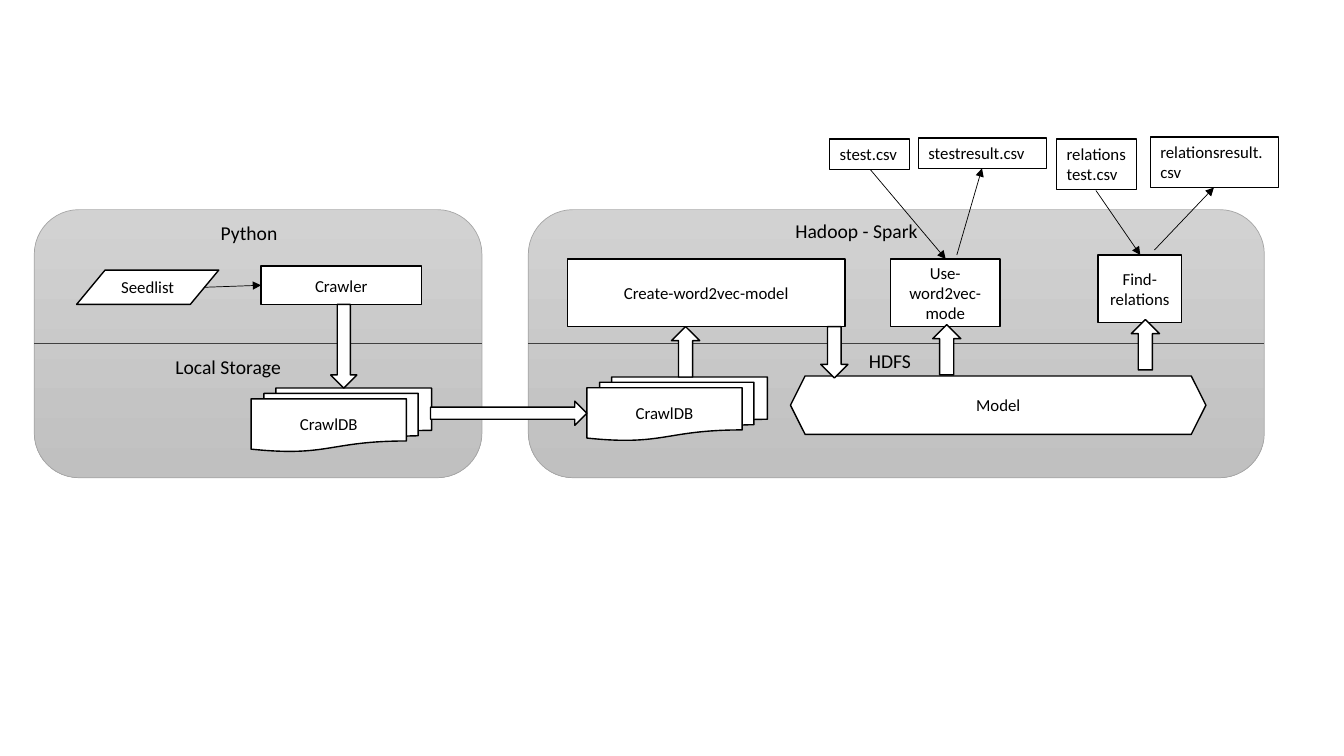
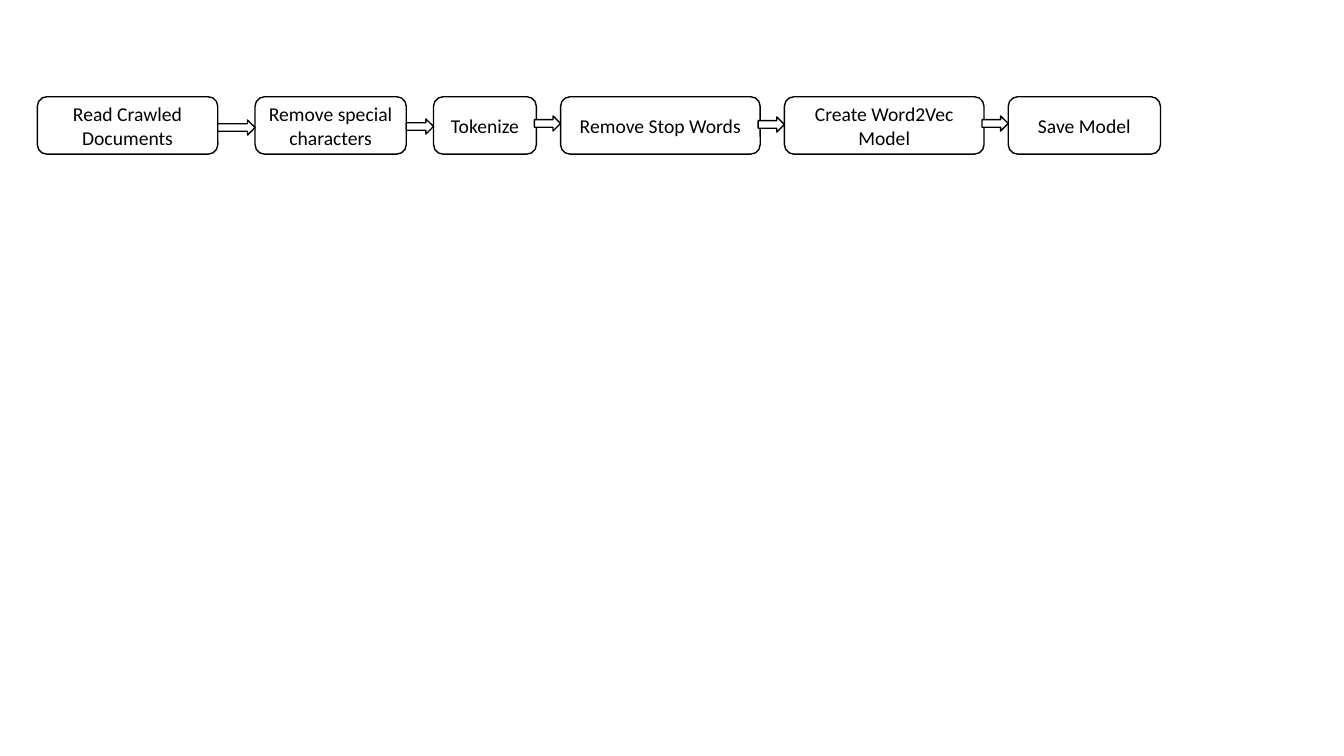
from dataclasses import dataclass
from typing import Any

from lxml.etree import SubElement
from pptx import Presentation
from pptx.dml.color import RGBColor
from pptx.enum.shapes import MSO_CONNECTOR, MSO_SHAPE as Shape
from pptx.enum.text import MSO_ANCHOR as Anchor, PP_ALIGN as Align
from pptx.oxml.ns import qn
from pptx.util import Emu, Pt

# Shared look
FONT = "Calibri"
BLACK, WHITE = "000000", "FFFFFF"
PANEL_TOP, PANEL_BOTTOM, PANEL_EDGE = "D2D2D2", "C0C0C0", "A5A5A5"
DIVIDER = "404040"
SMALL, LARGE = 12, 14


def px(length):
    """100 px make one inch."""
    return Emu(length * 9144)


def colour(value):
    return RGBColor.from_string(value)


def write_text(shape, text, size, align, anchor):
    frame = shape.text_frame
    frame.word_wrap = True
    frame.vertical_anchor = anchor
    frame.text = text
    paragraph = frame.paragraphs[0]
    paragraph.alignment = align
    font = paragraph.runs[0].font
    font.name, font.size = FONT, Pt(size)
    font.color.rgb = colour(BLACK)


@dataclass
class Region:
    """A box on a slide; parts are placed from its top left corner."""
    slide: Any
    left: int
    top: int
    width: int
    height: int

    def place(self, left, top, width, height):
        return px(self.left + left), px(self.top + top), px(width), px(height)

    def block(self, kind, box, text="", size=SMALL,
              align=Align.CENTER, anchor=Anchor.MIDDLE):
        shape = self.slide.shapes.add_shape(kind, *self.place(*box))
        shape.shadow.inherit = False
        shape.fill.solid()
        shape.fill.fore_color.rgb = colour(WHITE)
        shape.line.color.rgb = colour(BLACK)
        shape.line.width = Pt(1)
        if text:
            write_text(shape, text, size, align, anchor)
        return shape

    def label(self, box, text):
        shape = self.slide.shapes.add_textbox(*self.place(*box))
        write_text(shape, text, LARGE, Align.LEFT, Anchor.TOP)

    def line(self, start, end, line_colour=BLACK, arrow=True):
        points = [px(origin + offset) for point in (start, end)
                  for origin, offset in zip((self.left, self.top), point)]
        connector = self.slide.shapes.add_connector(
            MSO_CONNECTOR.STRAIGHT, *points)
        connector.line.color.rgb = colour(line_colour)
        connector.line.width = Pt(0.5)
        if arrow:
            outline = connector.line._get_or_add_ln()
            SubElement(outline, qn("a:tailEnd"), type="triangle")
        SubElement(connector._element.spPr, qn("a:effectLst"))

    def panel(self):
        """Grey rounded background, split in two by a line."""
        shape = self.block(Shape.FLOWCHART_ALTERNATE_PROCESS,
                           (0, 0, self.width, self.height))
        shape.fill.gradient()
        shape.fill.gradient_angle = 270
        for stop, value in zip(shape.fill.gradient_stops,
                               (PANEL_TOP, PANEL_BOTTOM)):
            stop.color.rgb = colour(value)
        shape.line.color.rgb = colour(PANEL_EDGE)
        shape.line.width = Pt(0.5)
        middle = self.height // 2
        self.line((0, middle), (self.width, middle), DIVIDER, arrow=False)


def crawl_panel(region):
    region.panel()
    region.label((175, 6, 99, 34), "Python")
    region.label((130, 139, 129, 34), "Local Storage")
    region.block(Shape.FLOWCHART_DATA, (42, 60, 141, 34), "Seedlist")
    region.block(Shape.RECTANGLE, (225, 56, 159, 38), "Crawler")
    region.block(Shape.FLOWCHART_MULTIDOCUMENT, (215, 177, 179, 63), "CrawlDB")
    region.line((169, 77), (225, 75))
    region.block(Shape.DOWN_ARROW, (294, 94, 26, 83))


def model_panel(region):
    region.panel()
    region.label((255, 4, 162, 34), "Hadoop - Spark")
    region.label((328, 133, 74, 34), "HDFS")

    # Jobs
    for box, text in (((39, 49, 275, 67), "Create-word2vec-model"),
                      ((359, 49, 109, 67), "Use-word2vec-mode"),
                      ((565, 45, 83, 67), "Find-relations")):
        region.block(Shape.RECTANGLE, box, text)

    # Stored data
    region.block(Shape.FLOWCHART_MULTIDOCUMENT, (58, 166, 179, 63), "CrawlDB")
    region.block(Shape.HEXAGON, (260, 165, 412, 58), "Model")

    # Data flow between storage and jobs
    for left, top in ((142, 116), (401, 114), (598, 109)):
        region.block(Shape.UP_ARROW, (left, top, 28, 50))
    region.block(Shape.DOWN_ARROW, (290, 116, 27, 51))
    region.block(Shape.RIGHT_ARROW, (-97, 190, 155, 24))


def csv_files(region):
    for box, text in (((0, 2, 79, 30), "stest.csv"),
                      ((88, 1, 127, 30), "stestresult.csv"),
                      ((225, 2, 79, 50), "relationstest.csv"),
                      ((318, 0, 127, 50), "relationsresult.csv")):
        region.block(Shape.RECTANGLE, box, text,
                     align=Align.LEFT, anchor=Anchor.TOP)
    for start, end in (((40, 32), (115, 121)), ((126, 117), (151, 31)),
                       ((264, 53), (308, 117)), ((322, 112), (381, 50))):
        region.line(start, end)


def pipeline(region):
    steps = (("Read Crawled Documents", 0, 179),
             ("Remove special characters", 216, 150),
             ("Tokenize", 393, 102),
             ("Remove Stop Words", 519, 198),
             ("Create Word2Vec Model", 741, 198),
             ("Save Model", 963, 151))
    for text, left, width in steps:
        region.block(Shape.FLOWCHART_ALTERNATE_PROCESS,
                     (left, 0, width, region.height), text, LARGE)

    # Each arrow ends at the next step
    arrow_tops = (23, 22, 19, 20, 19)
    for step, following, top in zip(steps, steps[1:], arrow_tops):
        end = following[1]
        width = max(26, end - step[1] - step[2])
        region.block(Shape.RIGHT_ARROW, (end - width, top, width, 15))


def main():
    presentation = Presentation()
    presentation.slide_width, presentation.slide_height = px(1333), px(750)
    blank = presentation.slide_layouts[6]

    architecture = presentation.slides.add_slide(blank)
    crawl_panel(Region(architecture, 34, 208, 444, 266))
    model_panel(Region(architecture, 524, 208, 730, 266))
    csv_files(Region(architecture, 823, 136, 445, 121))

    steps = presentation.slides.add_slide(blank)
    pipeline(Region(steps, 37, 96, 1114, 57))

    presentation.save("out.pptx")


if __name__ == "__main__":
    main()
